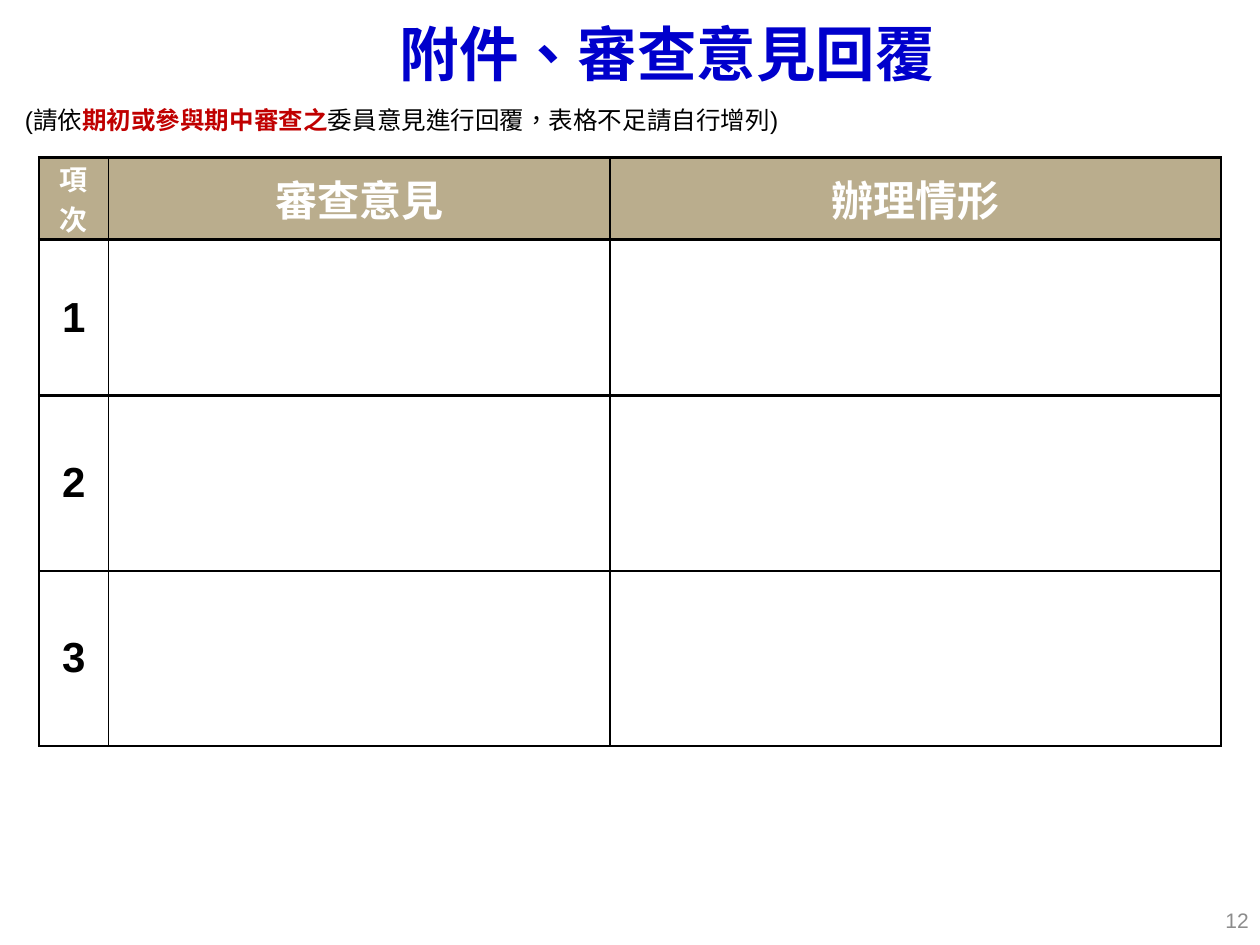
import pptx
import pptx.dml.color
import pptx.enum.lang
import pptx.enum.text
import pptx.oxml
import pptx.oxml.ns
import pptx.util

Inches, Pt = pptx.util.Inches, pptx.util.Pt
RGBColor = pptx.dml.color.RGBColor
ALIGN, ANCHOR = pptx.enum.text.PP_ALIGN, pptx.enum.text.MSO_ANCHOR
TAIWAN = pptx.enum.lang.MSO_LANGUAGE_ID.TRADITIONAL_CHINESE

BLUE = RGBColor(0x00, 0x00, 0xCC)
RED = RGBColor(0xC0, 0x00, 0x00)
BLACK = RGBColor(0x00, 0x00, 0x00)
WHITE = RGBColor(0xFF, 0xFF, 0xFF)
TAN = RGBColor(0xBA, 0xAD, 0x8D)
GRAY = RGBColor(0x8C, 0x8C, 0x8C)

COLUMNS = [0.55, 3.98, 4.85]
ROWS = [0.65, 1.24, 1.39, 1.39]  # the first row holds two lines of 項次
HEADINGS = [("項次", 16), ("審查意見", 24), ("辦理情形", 24)]

deck = pptx.Presentation()
deck.slide_width, deck.slide_height = Inches(10), Inches(7.5)
slide = deck.slides.add_slide(deck.slide_layouts[6])


def add_line(left, top, width, height, align, size, runs, font="Arial"):
    """Add a one-paragraph text box; runs are (text, colour, bold)."""
    frame = slide.shapes.add_textbox(*map(Inches, (left, top, width, height))).text_frame
    frame.word_wrap = True
    frame.vertical_anchor = ANCHOR.MIDDLE
    paragraph = frame.paragraphs[0]
    paragraph.alignment = align
    paragraph.font.name, paragraph.font.size = font, Pt(size)
    for text, color, bold in runs:
        run = paragraph.add_run()
        run.text = text
        run.font.color.rgb, run.font.bold = color, bold
        run.font.language_id = TAIWAN
    return paragraph


def add_border(cell, side, points):
    cell._tc.get_or_add_tcPr().append(pptx.oxml.parse_xml(
        f'<a:ln{side} {pptx.oxml.ns.nsdecls("a")} w="{Pt(points)}">'
        f'<a:solidFill><a:srgbClr val="{BLACK}"/></a:solidFill></a:ln{side}>'))


title = add_line(0, 0.08, 10, 0.68, ALIGN.CENTER, 34,
                 [("附件、審查意見回覆", BLUE, True)], "Noto Sans CJK SC")
title._p.get_or_add_pPr().set("marL", str(Inches(0.59)))

reviews = slide.shapes.add_table(
    len(ROWS), len(COLUMNS), Inches(0.31), Inches(1.25),
    Inches(sum(COLUMNS)), Inches(sum(ROWS))).table
reviews.first_row = reviews.horz_banding = False
for column, width in zip(reviews.columns, COLUMNS):
    column.width = Inches(width)
for row, height in zip(reviews.rows, ROWS):
    row.height = Inches(height)

last = len(COLUMNS) - 1
for r in range(len(ROWS)):
    for c, (heading, heading_size) in enumerate(HEADINGS):
        cell = reviews.cell(r, c)
        for side, points in (("L", 1.5 if c == 0 else 1), ("R", 1.5 if c == last else 1),
                             ("T", 1.5), ("B", 1.5)):
            add_border(cell, side, points)
        cell.margin_left = cell.margin_right = Inches(0.07)
        cell.margin_top = cell.margin_bottom = 0
        cell.vertical_anchor = ANCHOR.MIDDLE
        if r == 0:
            cell.fill.solid()
            cell.fill.fore_color.rgb = TAN
            text, size, color = heading, heading_size, WHITE
        else:
            cell.fill.background()
            text, size, color = str(r) if c == 0 else "", 24, BLACK
        cell.text = text
        entry = cell.text_frame.paragraphs[0]
        entry.alignment = ALIGN.CENTER
        entry.font.name, entry.font.size = "Arial", Pt(size)
        entry.font.bold, entry.font.color.rgb = True, color

instruction = add_line(0, 0.78, 10, 0.34, ALIGN.LEFT, 14, [
    ("(請依", BLACK, False),
    ("期初或參與期中審查之", RED, True),
    ("委員意見進行回覆，表格不足請自行增列)", BLACK, False)])
hanging = instruction._p.get_or_add_pPr()
hanging.set("marL", str(Inches(0.39)))
hanging.set("indent", str(Inches(-0.29)))

add_line(7.68, 7.1, 2.33, 0.4, ALIGN.RIGHT, 12, [("12", GRAY, False)])

deck.save("out.pptx")
